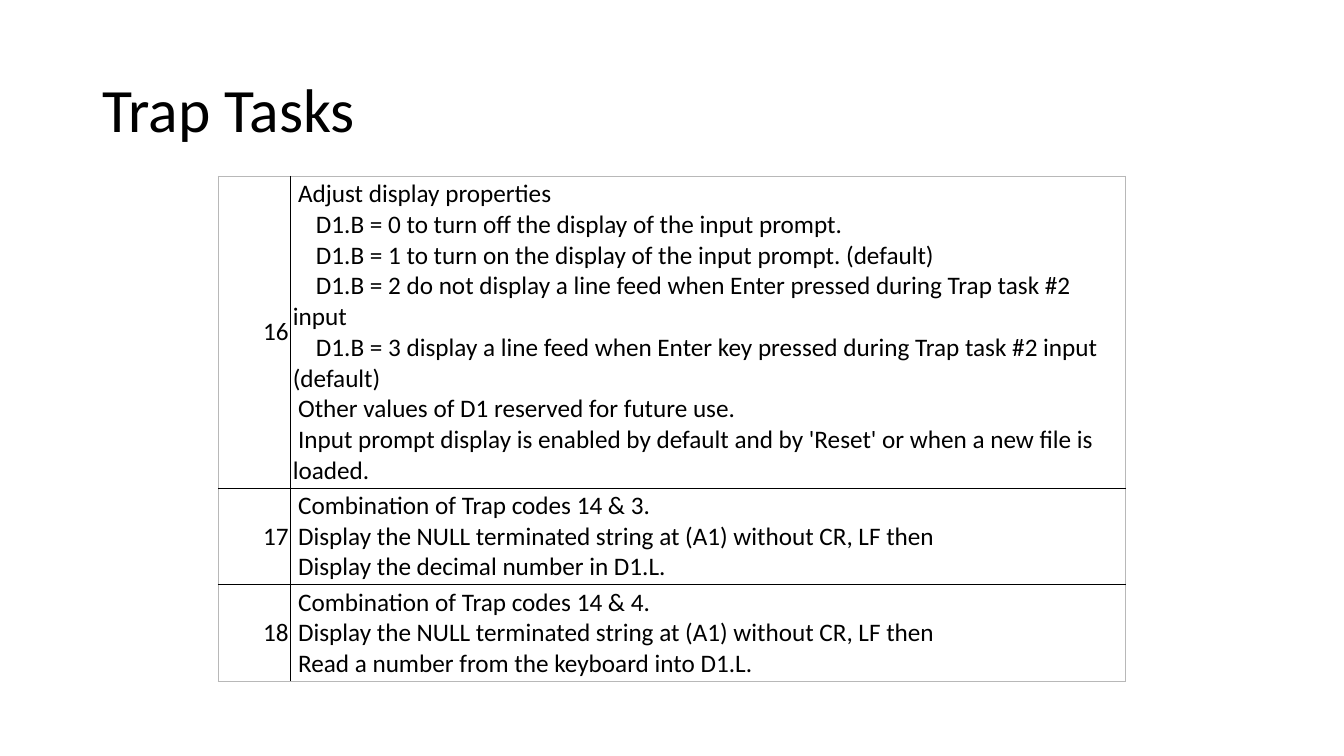
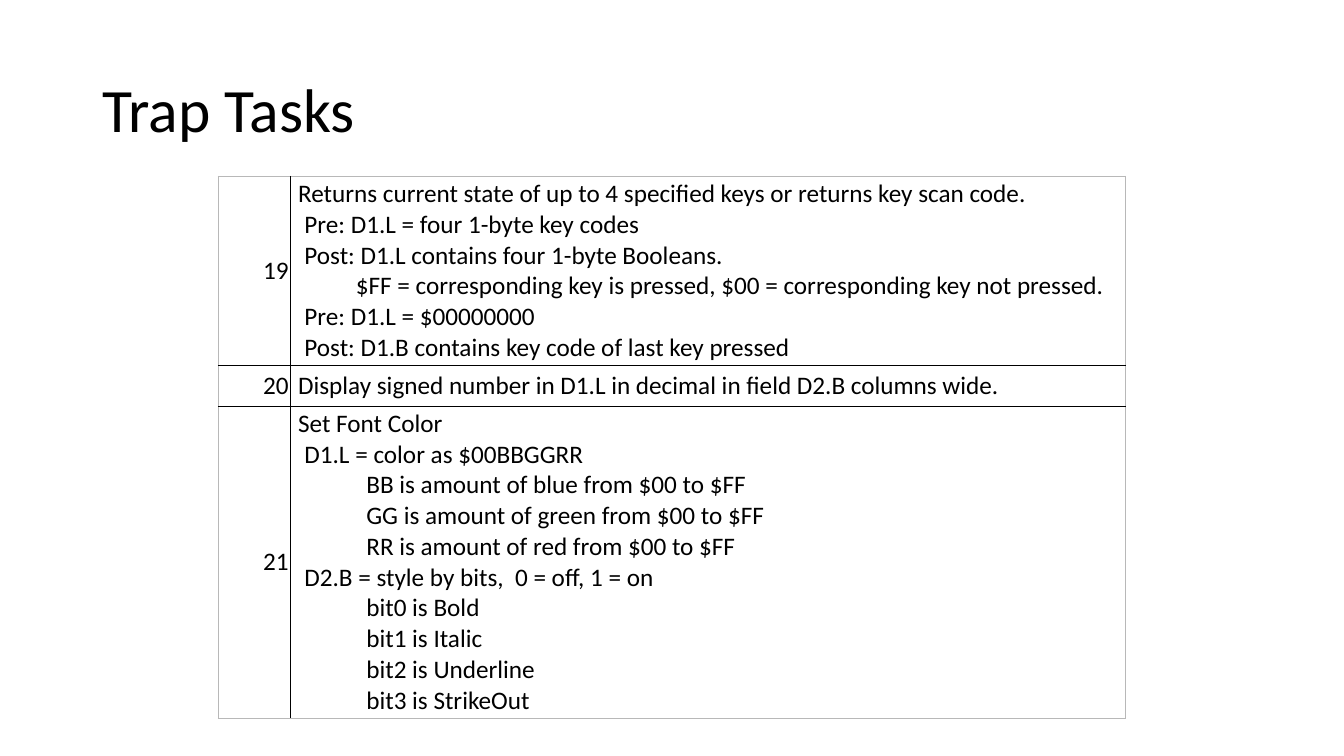
import pptx
import pptx.util
import pptx.dml.color
import pptx.enum.text
import pptx.oxml
import pptx.oxml.ns
from collections import namedtuple
from dataclasses import dataclass

Box = namedtuple("Box", "left top width height")
Row = namedtuple("Row", "number lines entries")  # lines: drawn lines, wraps included


@dataclass(frozen=True)
class Theme:
    font: str = "Calibri"
    ink: str = "000000"
    frame: str = "B8B8B8"
    title_size: int = 44
    body_size: int = 18
    rule_width: float = 1
    frame_width: float = 0.75


THEME = Theme()
PX = 9525  # EMU in one px, 96 px to the inch
PAGE = Box(0, 0, 1280, 720)
TITLE_BOX = Box(88, 38, 1104, 139)
TABLE_BOX = Box(208, 168, 864, 0)
NUMBER_WIDTH = 69
INSET = 2
MIN_ROW = 39

# First-line indents in px, by depth
EDGE, STEP, PROMPT, KEY, DETAIL = 5, 11, 22, 60, 70

PAGES = [
    [
        Row("16", 10, [
            (EDGE, "Adjust display properties"),
            (PROMPT, "D1.B = 0 to turn off the display of the input prompt."),
            (PROMPT, "D1.B = 1 to turn on the display of the input prompt. (default)"),
            (PROMPT, "D1.B = 2 do not display a line feed when Enter pressed "
                     "during Trap task #2 input"),
            (PROMPT, "D1.B = 3 display a line feed when Enter key pressed "
                     "during Trap task #2 input (default)"),
            (EDGE, "Other values of D1 reserved for future use."),
            (EDGE, "Input prompt display is enabled by default and by 'Reset' "
                   "or when a new file is loaded."),
        ]),
        Row("17", 3, [
            (EDGE, "Combination of Trap codes 14 & 3."),
            (EDGE, "Display the NULL terminated string at (A1) without CR, LF then"),
            (EDGE, "Display the decimal number in D1.L."),
        ]),
        Row("18", 3, [
            (EDGE, "Combination of Trap codes 14 & 4."),
            (EDGE, "Display the NULL terminated string at (A1) without CR, LF then"),
            (EDGE, "Read a number from the keyboard into D1.L."),
        ]),
    ],
    [
        Row("19", 6, [
            (EDGE, "Returns current state of up to 4 specified keys or returns key scan code."),
            (STEP, "Pre: D1.L = four 1-byte key codes"),
            (STEP, "Post: D1.L contains four 1-byte Booleans."),
            (KEY, "$FF = corresponding key is pressed, $00 = corresponding key not pressed."),
            (STEP, "Pre: D1.L = $00000000"),
            (STEP, "Post: D1.B contains key code of last key pressed"),
        ]),
        Row("20", 1, [
            (EDGE, "Display signed number in D1.L in decimal in field D2.B columns wide."),
        ]),
        Row("21", 10, [
            (EDGE, "Set Font Color"),
            (STEP, "D1.L = color as $00BBGGRR"),
            (DETAIL, "BB is amount of blue from $00 to $FF"),
            (DETAIL, "GG is amount of green from $00 to $FF"),
            (DETAIL, "RR is amount of red from $00 to $FF"),
            (STEP, "D2.B = style by bits,  0 = off, 1 = on"),
            (DETAIL, "bit0 is Bold"),
            (DETAIL, "bit1 is Italic"),
            (DETAIL, "bit2 is Underline"),
            (DETAIL, "bit3 is StrikeOut"),
        ]),
    ],
]


def emu(px):
    return pptx.util.Emu(round(px * PX))


def set_all(target, values):
    for name, value in values.items():
        setattr(target, name, value)


def write(para, text, size, **layout):
    """Add one styled span to a paragraph."""
    set_all(para, layout)
    span = para.add_run()
    span.text = text
    set_all(span.font, {"name": THEME.font, "size": pptx.util.Pt(size)})
    span.font.color.rgb = pptx.dml.color.RGBColor.from_string(THEME.ink)


def row_height(row):
    """Calibri lines are 1.22 times the type size; 96 px are 72 points."""
    return max(MIN_ROW, round(row.lines * THEME.body_size * 1.22 * 96 / 72) + 2 * INSET)


def draw_borders(cell, outer_sides):
    """Outline a cell, with a lighter line on the table's outer sides."""
    properties = cell._tc.get_or_add_tcPr()
    for position, side in enumerate("LRTB"):
        outer = side in outer_sides
        color = THEME.frame if outer else THEME.ink
        width = pptx.util.Pt(THEME.frame_width if outer else THEME.rule_width)
        properties.insert(position, pptx.oxml.parse_xml(
            f'<a:ln{side} {pptx.oxml.ns.nsdecls("a")} w="{int(width)}">'
            f'<a:solidFill><a:srgbClr val="{color}"/></a:solidFill></a:ln{side}>'))


def add_title(page, box, text):
    frame = page.shapes.add_textbox(*map(emu, box)).text_frame
    set_all(frame, {"word_wrap": True,
                    "vertical_anchor": pptx.enum.text.MSO_ANCHOR.MIDDLE})
    write(frame.paragraphs[0], text, THEME.title_size, line_spacing=0.9)


def fill_cell(cell, entries, align, outer_sides):
    margins = {f"margin_{side}": emu(INSET) for side in ("left", "right", "top", "bottom")}
    set_all(cell, {"vertical_anchor": pptx.enum.text.MSO_ANCHOR.MIDDLE, **margins})
    cell.fill.background()
    draw_borders(cell, outer_sides)
    frame = cell.text_frame
    for index, (indent, text) in enumerate(entries):
        para = frame.add_paragraph() if index else frame.paragraphs[0]
        write(para, text, THEME.body_size, alignment=align)
        if indent:
            # Only the first line moves in; wrapped lines start at the edge
            para_properties = para._p.get_or_add_pPr()
            para_properties.set("marL", "0")
            para_properties.set("indent", str(emu(indent)))


def add_task_table(page, box, rows):
    heights = [row_height(row) for row in rows]
    table = page.shapes.add_table(len(rows), 2, emu(box.left), emu(box.top),
                                  emu(box.width), emu(sum(heights))).table
    set_all(table, {"first_row": False, "horz_banding": False})
    for column, width in zip(table.columns, (NUMBER_WIDTH, box.width - NUMBER_WIDTH)):
        column.width = emu(width)
    align = pptx.enum.text.PP_ALIGN
    for index, (row, height) in enumerate(zip(rows, heights)):
        table.rows[index].height = emu(height)
        ends = ("T" if index == 0 else "") + ("B" if index == len(rows) - 1 else "")
        fill_cell(table.cell(index, 0), [(0, row.number)], align.RIGHT, ends + "L")
        fill_cell(table.cell(index, 1), row.entries, align.LEFT, ends + "R")


def add_task_page(deck, rows):
    page = deck.slides.add_slide(deck.slide_layouts[6])
    add_title(page, TITLE_BOX, "Trap Tasks")
    add_task_table(page, TABLE_BOX, rows)


def main():
    deck = pptx.Presentation()
    set_all(deck, {"slide_width": emu(PAGE.width), "slide_height": emu(PAGE.height)})
    for rows in PAGES:
        add_task_page(deck, rows)
    deck.save("out.pptx")


if __name__ == "__main__":
    main()
